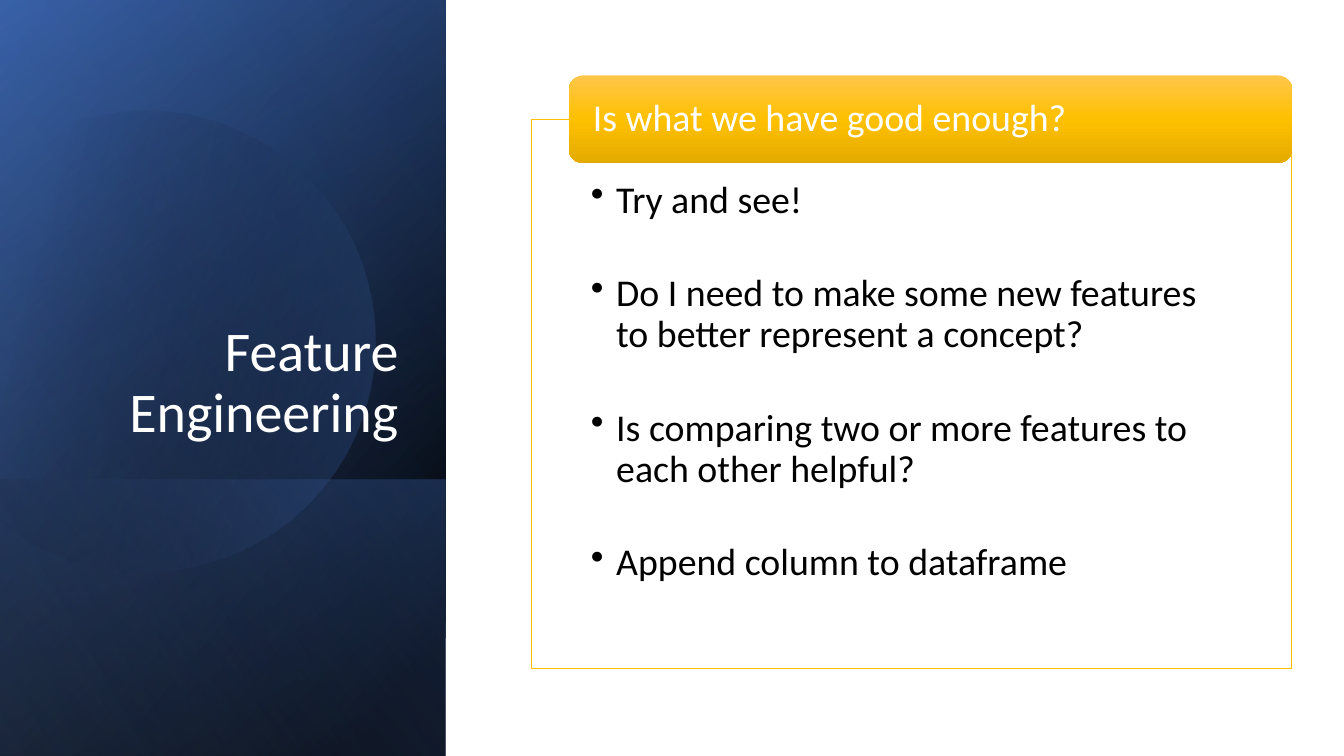
from math import cos, radians, sin
from pptx import Presentation
from pptx.dml.color import RGBColor
from pptx.enum.shapes import MSO_SHAPE as Preset
from pptx.enum.text import MSO_ANCHOR as Anchor, PP_ALIGN as Align
from pptx.oxml import parse_xml
from pptx.oxml.ns import nsdecls, qn
from pptx.util import Cm, Pt

rgb = RGBColor.from_string


def paint_gradient(shape, stops, angle):
    shape.shadow.inherit = False
    shape.line.fill.background()
    shape.fill.background()
    marks = "".join(
        f'<a:gs pos="{place * 1000}"><a:srgbClr val="{colour}">'
        f'<a:alpha val="{alpha * 1000}"/></a:srgbClr></a:gs>'
        for place, colour, alpha in stops)
    gradient = parse_xml(
        f'<a:gradFill {nsdecls("a")} rotWithShape="1"><a:gsLst>{marks}</a:gsLst>'
        f'<a:lin ang="{angle * 60000}" scaled="0"/></a:gradFill>')
    properties = shape._element.spPr
    properties.replace(properties.find(qn("a:noFill")), gradient)


def add_text(place, lines, size, colour, frame_format, para_format):
    box = slide.shapes.add_textbox(*map(Cm, place))
    frame = box.text_frame
    frame.word_wrap = True
    for name, value in frame_format.items():
        setattr(frame, name, value)
    for index, line in enumerate(lines):
        para = frame.paragraphs[0] if index == 0 else frame.add_paragraph()
        para.line_spacing = 0.9
        for name, value in para_format.items():
            setattr(para, name, value)
        span = para.add_run()
        span.text = line
        span.font.name = "Calibri"
        span.font.size = Pt(size)
        span.font.color.rgb = rgb(colour)
    return frame


deck = Presentation()
deck.slide_width, deck.slide_height = Cm(33.87), Cm(19.05)
slide = deck.slides.add_slide(deck.slide_layouts[6])

full_panel = (-3.91, 3.91, 19.05, 11.23)
lower_panel = (2.13, 9.96, 6.96, 11.23)
panel_layers = [
    (full_panel, [(8, "000000", 100), (100, "2F5597", 100)], 50),
    (full_panel, [(0, "000000", 0), (99, "4472C4", 46)], 30),
    (lower_panel, [(2, "4472C4", 29), (100, "000000", 30)], 130),
    (full_panel, [(0, "000000", 0), (99, "8FAADC", 11)], 120),
]
for place, stops, angle in panel_layers:
    if angle == 120:
        disc_curves = [
            [(1.49, 1.1), (2.46, 1.12), (3.35, 1.77), (3.63, 2.75)],
            [(3.63, 2.75), (3.98, 3.97), (3.28, 5.23), (2.07, 5.58)],
            [(2.07, 5.58), (1.31, 5.8), (0.53, 5.61), (-0.03, 5.14)],
            [(-0.15, 5.03)] * 4,
            [(-0.15, 1.75)] * 4,
            [(0, 1.61), (0.23, 1.42), (0.5, 1.28), (0.8, 1.19)],
            [(0.8, 1.19), (1.03, 1.13), (1.26, 1.1), (1.49, 1.1)],
        ]
        steps = 16
        centre_x, centre_y, turn = 1.585, 3.345, radians(16.1)
        outline = []
        for curve in disc_curves:
            for step in range(steps + 1):
                t = step / steps
                weights = ((1 - t) ** 3, 3 * t * (1 - t) ** 2, 3 * t * t * (1 - t), t ** 3)
                x = sum(w * point[0] for w, point in zip(weights, curve)) - centre_x
                y = sum(w * point[1] for w, point in zip(weights, curve)) - centre_y
                outline.append((Cm(2.54 * (centre_x + x * cos(turn) - y * sin(turn))),
                                Cm(2.54 * (centre_y + x * sin(turn) + y * cos(turn)))))
        builder = slide.shapes.build_freeform(*outline[0])
        builder.add_line_segments(outline[1:], close=True)
        disc = builder.convert_to_shape()
        disc.rotation = 343.9
        paint_gradient(disc, [(29, "000000", 0), (100, "4472C4", 43)], 30)
    panel = slide.shapes.add_shape(Preset.RECTANGLE, *map(Cm, place))
    panel.rotation = 90
    panel._element.spPr.xfrm.set("flipH", "1")
    paint_gradient(panel, stops, angle)

add_text((1.63, 4.67, 8.66, 6.65), ["Feature Engineering"], 40, "FFFFFF",
         {"vertical_anchor": Anchor.BOTTOM}, {"alignment": Align.RIGHT})

content_place = (13.39, 3.0, 19.15, 13.84)
content = slide.shapes.add_shape(Preset.RECTANGLE, *map(Cm, content_place))
content.shadow.inherit = False
content.fill.solid()
content.fill.fore_color.rgb = rgb("FFFFFF")
content.line.color.rgb = rgb("FFC000")
content.line.width = Pt(0.5)

questions = [
    "Try and see!",
    "Do I need to make some new features to better represent a concept?",
    "Is comparing two or more features to each other helpful?",
    "Append column to dataframe",
]
question_frame = add_text(
    content_place, questions, 27, "000000",
    {"margin_left": Cm(1.5), "margin_right": Cm(1.5),
     "margin_top": Cm(1.55), "margin_bottom": Cm(0.53)},
    {"space_after": Pt(37.7)})
for para in question_frame.paragraphs:
    properties = para._p.get_or_add_pPr()
    properties.set("marL", str(Cm(0.64)))
    properties.set("indent", str(Cm(-0.64)))
    properties.append(parse_xml(f'<a:buChar {nsdecls("a")} char="•"/>'))

header = slide.shapes.add_shape(Preset.ROUNDED_RECTANGLE, Cm(14.33), Cm(1.9), Cm(18.24), Cm(2.21))
paint_gradient(header, [(0, "FFC64B", 100), (50, "FFC000", 100), (100, "E3AB00", 100)], 90)
add_text((14.43, 2.01, 18.01, 2.01), ["Is what we have good enough?"], 27, "FFFFFF",
         {"vertical_anchor": Anchor.MIDDLE, "margin_left": Cm(0.51), "margin_right": Cm(0.51),
          "margin_top": 0, "margin_bottom": 0}, {})

deck.save("out.pptx")
